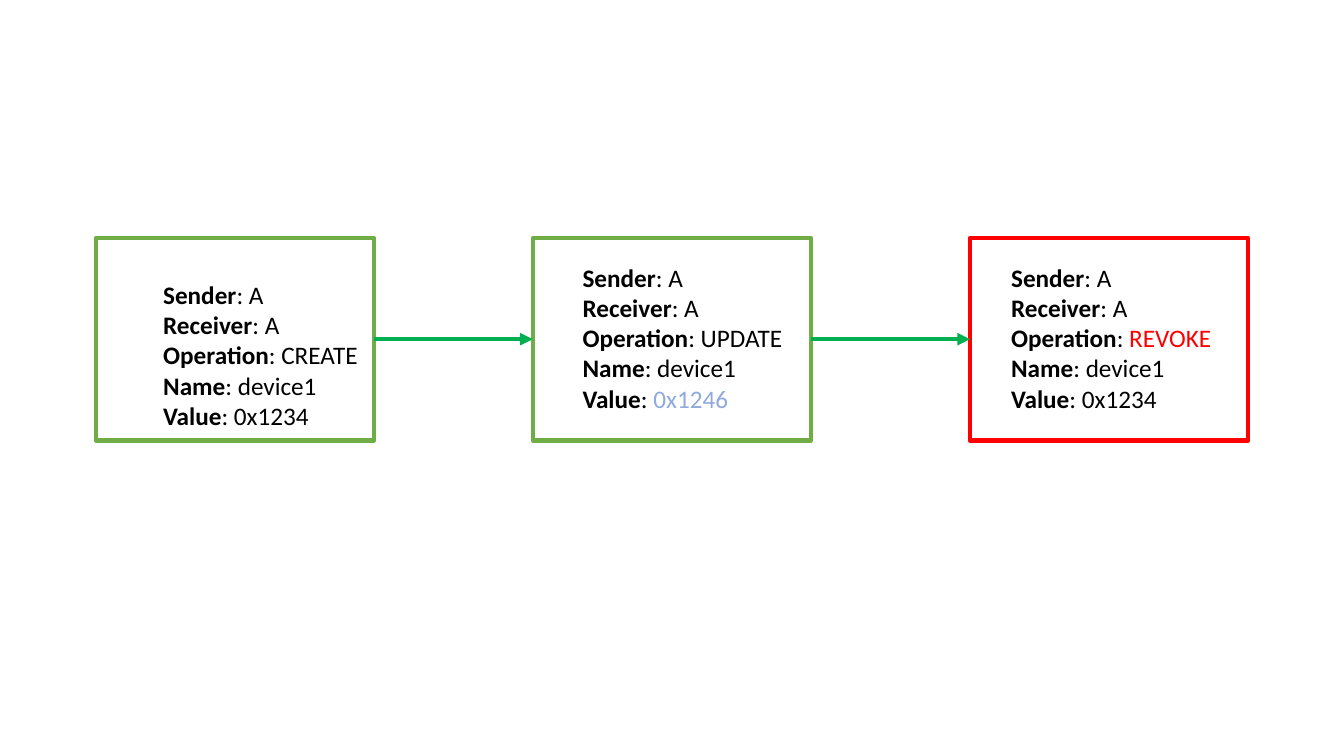
from dataclasses import dataclass

from pptx import Presentation
from pptx.dml.color import RGBColor
from pptx.enum import shapes, text
from pptx.oxml import ns, xmlchemy
from pptx.util import Inches, Pt

BLACK = RGBColor(0x00, 0x00, 0x00)
RED = RGBColor(0xFF, 0x00, 0x00)
GREEN = RGBColor(0x70, 0xAD, 0x47)
ARROW_GREEN = RGBColor(0x00, 0xB0, 0x50)
LIGHT_BLUE = RGBColor(0x8F, 0xAA, 0xDC)

BOX_TOP, BOX_WIDTH, BOX_HEIGHT = Inches(2.36), Inches(2.76), Inches(2.01)
FIRST_LEFT, BOX_STEP = Inches(0.95), Inches(4.335)
TEXT_HEIGHT = Inches(1.62)
LINE_WIDTH = Pt(3)


@dataclass
class Transaction:
    """One transaction box; highlight names the field drawn in highlight_color."""
    operation: str
    value: str
    border: RGBColor
    text_left: float
    text_top: float
    text_width: float
    highlight: str = ""
    highlight_color: RGBColor = BLACK


TRANSACTIONS = [
    Transaction("CREATE", "0x1234", GREEN, 1.52, 2.72, 2.15),
    Transaction("UPDATE", "0x1246", GREEN, 5.68, 2.55, 2.2, "Value", LIGHT_BLUE),
    Transaction("REVOKE", "0x1234", RED, 9.93, 2.55, 2.21, "Operation", RED),
]


def add_box(s, left: int, color: RGBColor) -> None:
    """Draw an unfilled transaction frame."""
    sp = s.shapes.add_shape(shapes.MSO_SHAPE.RECTANGLE, left, BOX_TOP,
                            BOX_WIDTH, BOX_HEIGHT)
    sp.shadow.inherit = False
    sp.fill.background()
    sp.line.color.rgb = color
    sp.line.width = LINE_WIDTH


def add_fields(s, tx: Transaction) -> None:
    """Write the transaction's fields, one paragraph each."""
    sp = s.shapes.add_textbox(Inches(tx.text_left), Inches(tx.text_top),
                              Inches(tx.text_width), TEXT_HEIGHT)
    tf = sp.text_frame
    tf.word_wrap = False
    tf.auto_size = text.MSO_AUTO_SIZE.SHAPE_TO_FIT_TEXT
    fields = {"Sender": "A", "Receiver": "A", "Operation": tx.operation,
              "Name": "device1", "Value": tx.value}
    for i, (label, value) in enumerate(fields.items()):
        p = tf.add_paragraph() if i else tf.paragraphs[0]
        value_color = tx.highlight_color if label == tx.highlight else BLACK
        for part, bold, color in ((label, True, BLACK), (": ", False, BLACK),
                                  (value, False, value_color)):
            r = p.add_run()
            r.text = part
            r.font.name = "Calibri"
            r.font.size = Pt(18)
            r.font.bold = bold
            r.font.color.rgb = color


def add_arrow(s, start: int, end: int) -> None:
    """Draw a horizontal arrow at the boxes' mid-height."""
    y = BOX_TOP + BOX_HEIGHT // 2
    line = s.shapes.add_connector(shapes.MSO_CONNECTOR.STRAIGHT, start, y, end, y)
    line.line.color.rgb = ARROW_GREEN
    line.line.width = LINE_WIDTH
    tail = xmlchemy.OxmlElement("a:tailEnd")
    tail.set("type", "triangle")
    sp_pr = line._element.spPr
    sp_pr.find(ns.qn("a:ln")).append(tail)
    sp_pr.append(xmlchemy.OxmlElement("a:effectLst"))


prs = Presentation()
prs.slide_width, prs.slide_height = Inches(13.33), Inches(7.5)
s = prs.slides.add_slide(prs.slide_layouts[6])

lefts = [FIRST_LEFT + i * BOX_STEP for i in range(len(TRANSACTIONS))]
for left, tx in zip(lefts, TRANSACTIONS):
    add_box(s, left, tx.border)
    add_fields(s, tx)
for left, next_left in zip(lefts, lefts[1:]):
    add_arrow(s, left + BOX_WIDTH, next_left)

prs.save("out.pptx")
